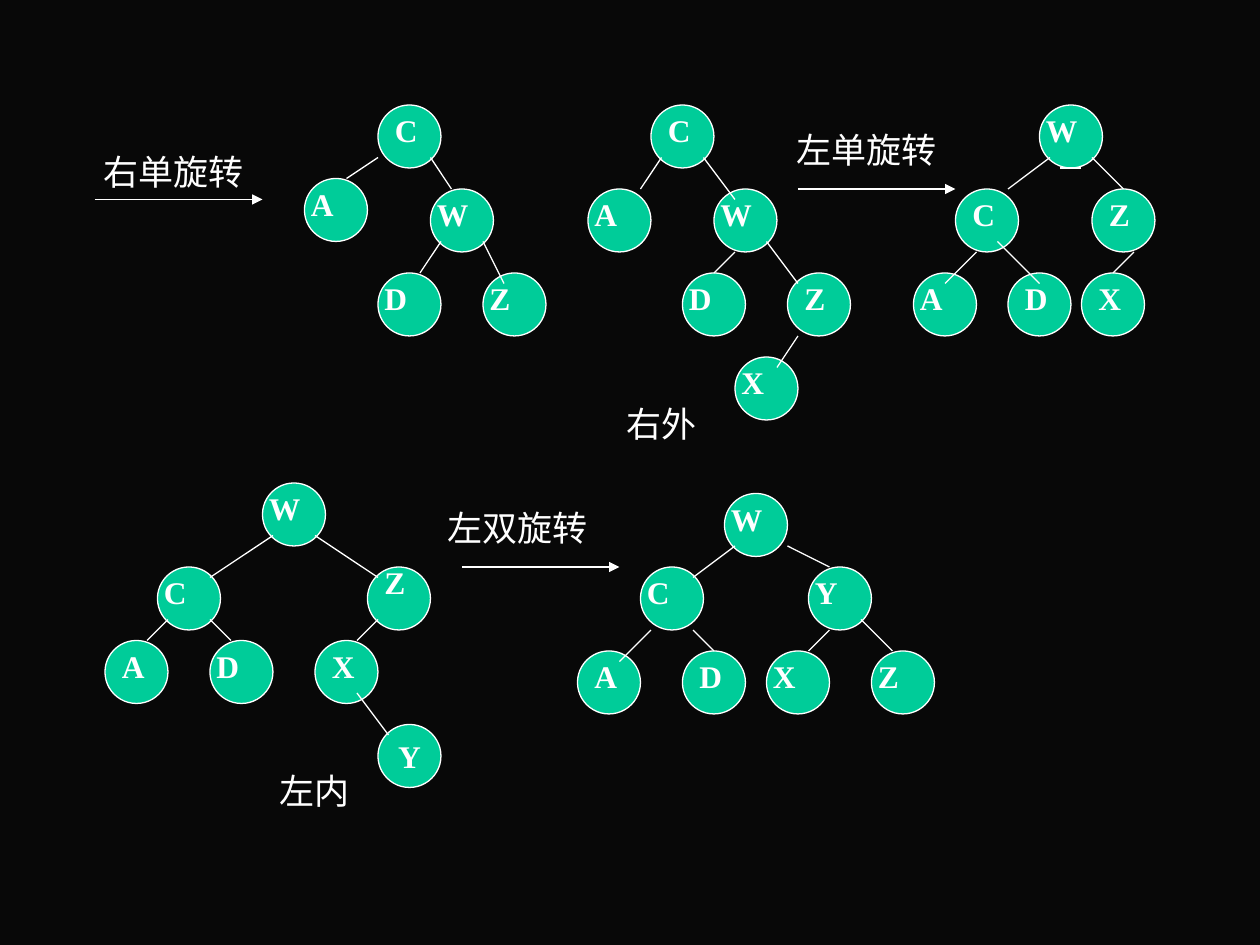
import pptx
import pptx.util
import pptx.dml.color
import pptx.enum.shapes
import pptx.enum.text
import pptx.oxml.ns
from lxml import etree
from pptx.util import Cm, Pt

RGB = pptx.dml.color.RGBColor
BLACK = RGB(0x08, 0x08, 0x08)
GREEN = RGB(0x00, 0xCC, 0x99)
WHITE = RGB(0xFF, 0xFF, 0xFF)

# Content: each tree has nodes (letter, x, y, letter shift) and edges,
# in grid steps of 1/12 inch
SINGLE = {
    "nodes": [("A", 29, 17, 0, 0), ("C", 36, 10, 1, 0), ("W", 41, 18, 0, 0),
              ("Z", 46, 26, 0, 0), ("D", 36, 26, 0, 0)],
    "edges": [(36, 15, 33, 17), (41, 15, 43, 18), (46, 23, 48, 27),
              (42, 23, 40, 26)],
}
OUTER = {
    "nodes": [("C", 62, 10, 1, 0), ("A", 56, 18, 0, 0), ("W", 68, 18, 0, 0),
              ("Z", 75, 26, 1, 0), ("D", 65, 26, 0, 0), ("X", 70, 34, 0, 0)],
    "edges": [(63, 15, 61, 18), (67, 15, 70, 19), (73, 23, 76, 27),
              (70, 24, 68, 26), (76, 32, 74, 35)],
}
LEFT = {
    "nodes": [("W", 99, 10, 0, 0), ("C", 91, 18, 1, 0), ("Z", 104, 18, 1, 0),
              ("A", 87, 26, 0, 0), ("D", 96, 26, 1, 0), ("X", 103, 26, 1, 0)],
    "edges": [(101, 16, 103, 16), (100, 15, 96, 18), (104, 15, 107, 18),
              (95, 23, 99, 27), (108, 24, 106, 26), (93, 24, 90, 27)],
}
INNER = {
    "nodes": [("W", 25, 46, 0, 0), ("C", 15, 54, 0, 0), ("Z", 35, 54, 1, -1),
              ("A", 10, 61, 1, 0), ("D", 20, 61, 0, 0), ("X", 30, 61, 1, 0),
              ("Y", 36, 69, 1.3, 0.6)],
    "edges": [(26, 51, 20, 55), (30, 51, 36, 55), (16, 59, 14, 61),
              (20, 59, 22, 61), (36, 59, 34, 61), (34, 66, 37, 70)],
}
DOUBLE = {
    "nodes": [("W", 69, 47, 0, 0), ("C", 61, 54, 0, 0), ("Y", 77, 54, 0, 0),
              ("A", 55, 62, 1, 0), ("D", 65, 62, 1, 0), ("X", 73, 62, 0, 0),
              ("Z", 83, 62, 0, 0)],
    "edges": [(70, 52, 66, 55), (75, 52, 79, 54), (62, 60, 59, 63),
              (66, 60, 68, 62), (79, 60, 77, 62), (82, 59, 85, 62)],
}

# One group per rotation: trees, arrow in grid steps, captions in cm
GROUPS = [
    ([SINGLE], (9, 19, 25, 19), [("右单旋转", 1.96, 2.9)]),
    ([OUTER, LEFT], (76, 18, 91, 18),
     [("左单旋转", 15.93, 2.46), ("右外", 12.5, 7.98)]),
    ([INNER, DOUBLE], (44, 54, 59, 54),
     [("左双旋转", 8.89, 10.08), ("左内", 5.51, 15.39)]),
]

STEP = 2.54 / 12
SIZE = 6                       # node diameter in steps
WIDE = {"W": 0.91, "Z": 0.71}  # letter box widths in cm
LETTER = {"name": "Times New Roman", "size": Pt(18), "bold": True}
LABEL = {"name": "Noto Sans CJK SC", "size": Pt(20), "bold": False}
FRAME = {"word_wrap": False,
         "auto_size": pptx.enum.text.MSO_AUTO_SIZE.SHAPE_TO_FIT_TEXT,
         "margin_left": Cm(0.13), "margin_right": Cm(0.13),
         "margin_top": Cm(0.13), "margin_bottom": Cm(0.13)}


def grid(*steps):
    return [Cm(step * STEP) for step in steps]


def apply(item, style):
    for key, value in style.items():
        setattr(item, key, value)


def add_node(group, x, y):
    node = group.shapes.add_shape(pptx.enum.shapes.MSO_SHAPE.OVAL,
                                  *grid(x, y, SIZE, SIZE))
    node.shadow.inherit = False
    node.fill.solid()
    node.fill.fore_color.rgb = GREEN
    node.line.color.rgb = WHITE
    node.line.width = Pt(0.75)


def add_line(group, ends, arrow=False):
    line = group.shapes.add_connector(
        pptx.enum.shapes.MSO_CONNECTOR.STRAIGHT, *grid(*ends))
    line.line.color.rgb = WHITE
    line.line.width = Pt(0.75)
    qn = pptx.oxml.ns.qn
    props = line._element.spPr
    if arrow:
        etree.SubElement(props.find(qn("a:ln")), qn("a:tailEnd"),
                         type="triangle")
    etree.SubElement(props, qn("a:effectLst"))


def add_text(group, text, place, style):
    box = group.shapes.add_textbox(*place)
    apply(box.text_frame, FRAME)
    run = box.text_frame.paragraphs[0].add_run()
    run.text = text
    apply(run.font, style)
    run.font.color.rgb = WHITE
    qn = pptx.oxml.ns.qn
    etree.SubElement(run._r.get_or_add_rPr(), qn("a:ea"),
                     typeface=style["name"])


def main():
    deck = pptx.Presentation()
    deck.slide_width, deck.slide_height = Cm(25.4), Cm(19.05)
    slide = deck.slides.add_slide(deck.slide_layouts[6])
    slide.background.fill.solid()
    slide.background.fill.fore_color.rgb = BLACK

    for trees, arrow, labels in GROUPS:
        group = slide.shapes.add_group_shape()
        nodes = [node for tree in trees for node in tree["nodes"]]
        # Circles, then edges and arrow
        for _, x, y, _, _ in nodes:
            add_node(group, x, y)
        for tree in trees:
            for edge in tree["edges"]:
                add_line(group, edge)
        add_line(group, arrow, arrow=True)
        # Captions and letters
        for text, x, y in labels:
            width = 0.28 + 0.71 * len(text)
            add_text(group, text, map(Cm, (x, y, width, 1.24)), LABEL)
        for text, x, y, dx, dy in nodes:
            place = grid(x + dx, y + dy) + [Cm(WIDE.get(text, 0.74)), Cm(0.97)]
            add_text(group, text, place, LETTER)

    deck.save("out.pptx")


if __name__ == "__main__":
    main()
